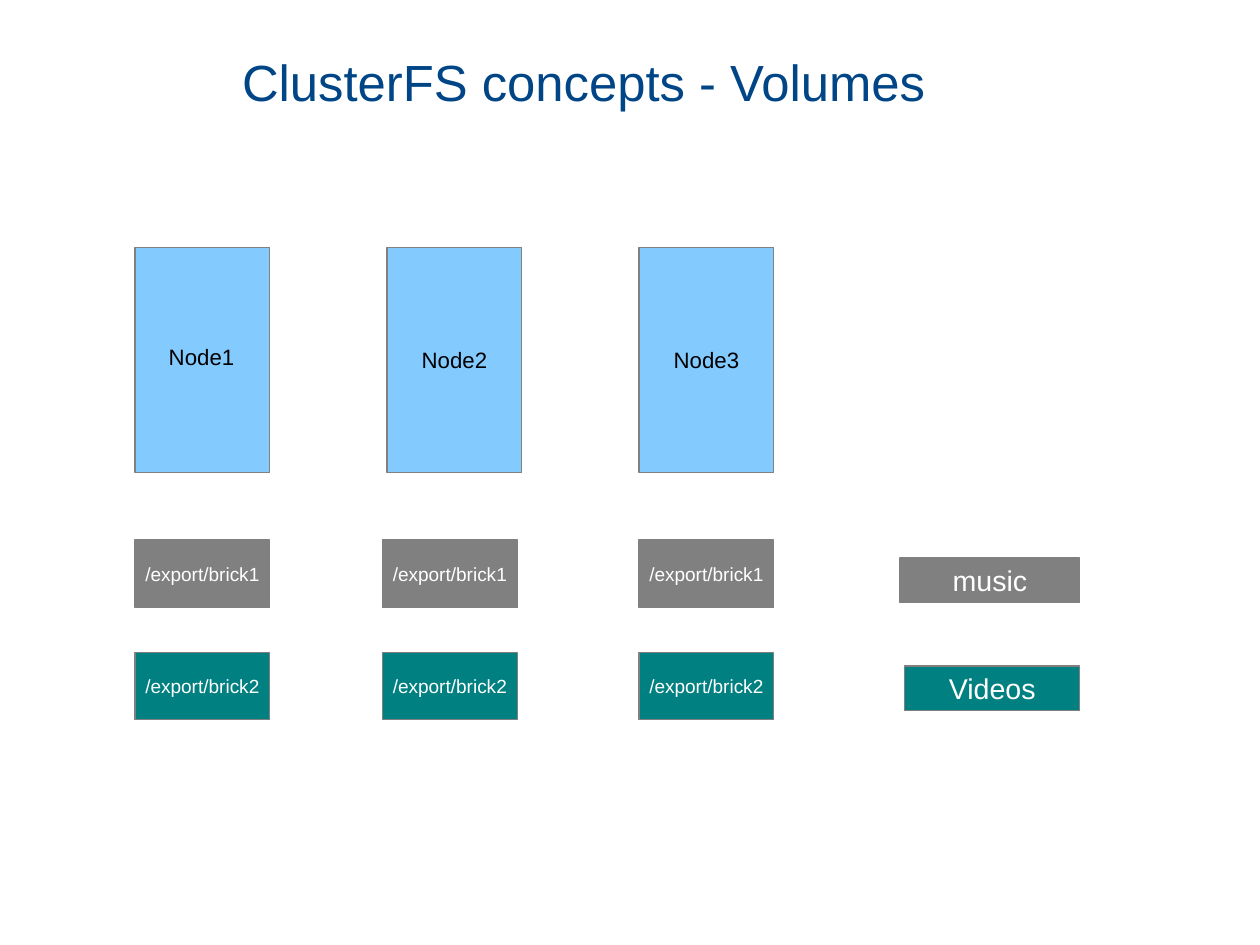
from pptx import Presentation
from pptx.dml.color import RGBColor
from pptx.enum.shapes import MSO_SHAPE
from pptx.enum.text import MSO_ANCHOR, PP_ALIGN
from pptx.util import Cm, Pt

GREY = "808080"
TEAL = "008080"
BLUE = "83CAFF"
NAVY = "004586"
BLACK = "000000"
WHITE = "FFFFFF"


def color(code):
    return RGBColor.from_string(code)


def write(shape, text, size, ink, align):
    para = shape.text_frame.paragraphs[0]
    para.text = text
    para.alignment = align
    para.font.name = "Arial"
    para.font.size = Pt(size)
    para.font.color.rgb = color(ink)


def label(slide, place, text, size, ink, align, wrap):
    shape = slide.shapes.add_textbox(*map(Cm, place))
    shape.text_frame.word_wrap = wrap
    write(shape, text, size, ink, align)


def box(slide, place, fill, text="", size=12, ink=WHITE):
    shape = slide.shapes.add_shape(MSO_SHAPE.RECTANGLE, *map(Cm, place))
    shape.shadow.inherit = False
    shape.fill.solid()
    shape.fill.fore_color.rgb = color(fill)
    shape.line.color.rgb = color(GREY)
    shape.line.width = Pt(0)
    if text:
        frame = shape.text_frame
        frame.word_wrap = False
        frame.vertical_anchor = MSO_ANCHOR.MIDDLE
        write(shape, text, size, ink, PP_ALIGN.CENTER)


def main():
    deck = Presentation()
    deck.slide_width = Cm(28)
    deck.slide_height = Cm(21)
    slide = deck.slides.add_slide(deck.slide_layouts[6])

    label(slide, (1.3, 1, 19.53, 1.52), "ClusterFS concepts - Volumes",
          32, NAVY, PP_ALIGN.RIGHT, True)

    for left, name in ((3, ""), (8.6, "Node2"), (14.2, "Node3")):
        box(slide, (left, 5.5, 3, 5), BLUE, name, 14, BLACK)
    label(slide, (3.5, 7.5, 2, 0.81), "Node1", 14, BLACK, PP_ALIGN.LEFT, False)

    for left in (3, 8.5, 14.2):
        box(slide, (left, 12, 3, 1.5), GREY, "/export/brick1")
        box(slide, (left, 14.5, 3, 1.5), TEAL, "/export/brick2")

    box(slide, (20, 12.4, 4, 1), GREY, "music", 18)
    box(slide, (20.1, 14.8, 3.9, 1), TEAL, "Videos", 18)

    deck.save("out.pptx")


if __name__ == "__main__":
    main()
